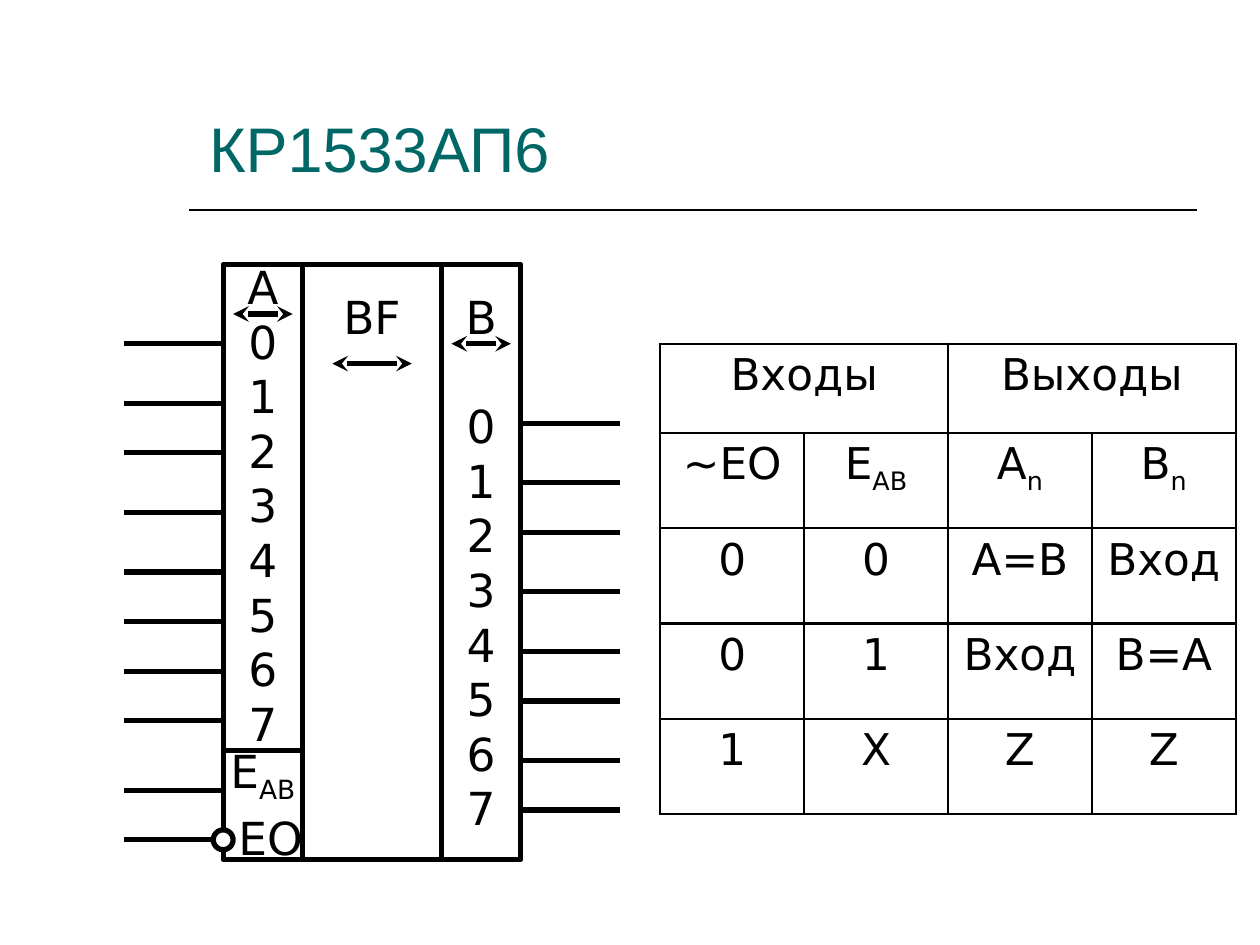
from lxml import etree
from pptx import Presentation
from pptx import util as u
from pptx.dml.color import RGBColor
from pptx.enum import shapes, text
from pptx.oxml import ns

BLACK = RGBColor(0, 0, 0)
WHITE = RGBColor(255, 255, 255)
TEAL = RGBColor(0, 0x66, 0x66)
Cm, Pt = u.Cm, u.Pt

TOP, HEIGHT = 5.33, 12
WIRE = 2
A_LEFT, BF_LEFT, B_LEFT, B_RIGHT = 4.5, 6.1, 8.9, 10.5
A_PINS = [1.6, 2.8, 3.8, 5, 6.2, 7.2, 8.2, 9.2, 10.6]
B_PINS = [3.2, 4.4, 5.4, 6.6, 7.8, 8.8, 10, 11]
EO_PIN, CIRCLE = 11.6, 0.4
DIGITS = list("01234567")
ROWS = [
    ["Входы", "", "Выходы", ""],
    ["~EO", "E_AB", "A_n", "B_n"],
    ["0", "0", "A=B", "Вход"],
    ["0", "1", "Вход", "B=A"],
    ["1", "X", "Z", "Z"],
]


class Sketch:
    font = "DejaVu Sans"
    size = 26
    leading = 31.2
    table_size = 25
    weight = 3
    border = 1.47

    def __init__(self, s):
        self.s = s

    def title(self, words, left, top, width, height):
        sp = self.s.shapes.title
        sp.left, sp.top, sp.width, sp.height = map(Cm, (left, top, width, height))
        tf = sp.text_frame
        tf.text = words
        tf.vertical_anchor = text.MSO_ANCHOR.BOTTOM
        p = tf.paragraphs[0]
        p.alignment = text.PP_ALIGN.LEFT
        p.font.name, p.font.size = "Arial", Pt(36)
        p.font.color.rgb = TEAL

    def label(self, p, words, size):
        base, _, sub = words.partition("_")
        p.add_run().text = base
        if sub:
            r = p.add_run()
            r.text = sub
            r._r.get_or_add_rPr().set("baseline", "-25000")
        p.alignment = text.PP_ALIGN.CENTER
        p.font.name, p.font.size = self.font, Pt(size)
        p.font.color.rgb = BLACK

    def shape(self, kind, left, top, width, height):
        sp = self.s.shapes.add_shape(kind, *map(Cm, (left, top, width, height)))
        sp.shadow.inherit = False
        sp.fill.solid()
        sp.fill.fore_color.rgb = WHITE
        sp.line.color.rgb = BLACK
        sp.line.width = Pt(self.weight)
        return sp

    def block(self, left, right, labels, anchor=text.MSO_ANCHOR.MIDDLE):
        sp = self.shape(shapes.MSO_SHAPE.RECTANGLE, left, TOP, right - left, HEIGHT)
        tf = sp.text_frame
        tf.word_wrap = False
        tf.vertical_anchor = anchor
        for i, words in enumerate(labels):
            p = tf.add_paragraph() if i else tf.paragraphs[0]
            p.line_spacing = Pt(self.leading)
            self.label(p, words, self.size)
        return tf

    def line(self, x1, y1, x2, y2, weight=weight, arrows=False):
        c = self.s.shapes.add_connector(
            shapes.MSO_CONNECTOR.STRAIGHT, *map(Cm, (x1, y1, x2, y2)))
        c.line.color.rgb = BLACK
        c.line.width = Pt(weight)
        if arrows:
            ln = c._element.spPr.find(ns.qn("a:ln"))
            for end in ("a:headEnd", "a:tailEnd"):
                etree.SubElement(ln, ns.qn(end), type="stealth")
        etree.SubElement(c._element.spPr, ns.qn("a:effectLst"))

    def pin(self, left, offset, length=WIRE):
        self.line(left, TOP + offset, left + length, TOP + offset)

    def arrow(self, left, right, offset):
        self.line(left, TOP + offset, right, TOP + offset, arrows=True)

    def table(self, rows, left, top, col_width, row_heights):
        n = len(rows[0])
        t = self.s.shapes.add_table(
            len(rows), n, Cm(left), Cm(top),
            Cm(col_width * n), Cm(sum(row_heights))).table
        t.first_row = t.horz_banding = False
        for col in t.columns:
            col.width = Cm(col_width)
        for row, height in zip(t.rows, row_heights):
            row.height = Cm(height)
        for i, row in enumerate(rows):
            for j, words in enumerate(row):
                self.cell(t.cell(i, j), words)
        for j in (0, 2):
            t.cell(0, j).merge(t.cell(0, j + 1))

    def cell(self, cell, words):
        tc_pr = cell._tc.get_or_add_tcPr()
        for side in ("a:lnL", "a:lnR", "a:lnT", "a:lnB"):
            ln = etree.SubElement(tc_pr, ns.qn(side), w=str(int(Pt(self.border))))
            fill = etree.SubElement(ln, ns.qn("a:solidFill"))
            etree.SubElement(fill, ns.qn("a:srgbClr"), val=str(BLACK))
        cell.fill.background()
        if words:
            p = cell.text_frame.paragraphs[0]
            p.space_before = Pt(6.2)
            self.label(p, words, self.table_size)


def main():
    prs = Presentation()
    prs.slide_width, prs.slide_height = Cm(25.4), Cm(19.05)
    k = Sketch(prs.slides.add_slide(prs.slide_layouts[5]))

    k.line(3.81, 4.23, 24.13, 4.23, weight=1)
    k.title("КР1533АП6", 3.96, 0.99, 20.02, 2.87)

    tf = k.block(A_LEFT, BF_LEFT, ["A", *DIGITS, "E_AB", "EO"])
    p = tf.paragraphs[-1]
    p.space_before = Pt(3)
    p._p.get_or_add_pPr().set("marL", str(int(Cm(0.32))))

    tf = k.block(BF_LEFT, B_LEFT, ["BF"], text.MSO_ANCHOR.TOP)
    tf.margin_top = Cm(0.5)

    tf = k.block(B_LEFT, B_RIGHT, ["B", *DIGITS])
    tf.paragraphs[1].space_before = Pt(k.leading)

    k.shape(shapes.MSO_SHAPE.OVAL, A_LEFT - CIRCLE / 2,
            TOP + EO_PIN - CIRCLE / 2, CIRCLE, CIRCLE)
    for offset in A_PINS:
        k.pin(A_LEFT - WIRE, offset)
    k.pin(A_LEFT - WIRE, EO_PIN, WIRE - CIRCLE / 2)
    for offset in B_PINS:
        k.pin(B_RIGHT, offset)
    k.pin(A_LEFT, 9.8, BF_LEFT - A_LEFT)

    k.arrow(6.7, 8.3, 2)
    k.arrow(4.7, 5.9, 1)
    k.arrow(9.1, 10.3, 1.6)

    k.table(ROWS, 13.31, 6.93, 2.9, [1.8] + [1.92] * 4)
    prs.save("out.pptx")


if __name__ == "__main__":
    main()
